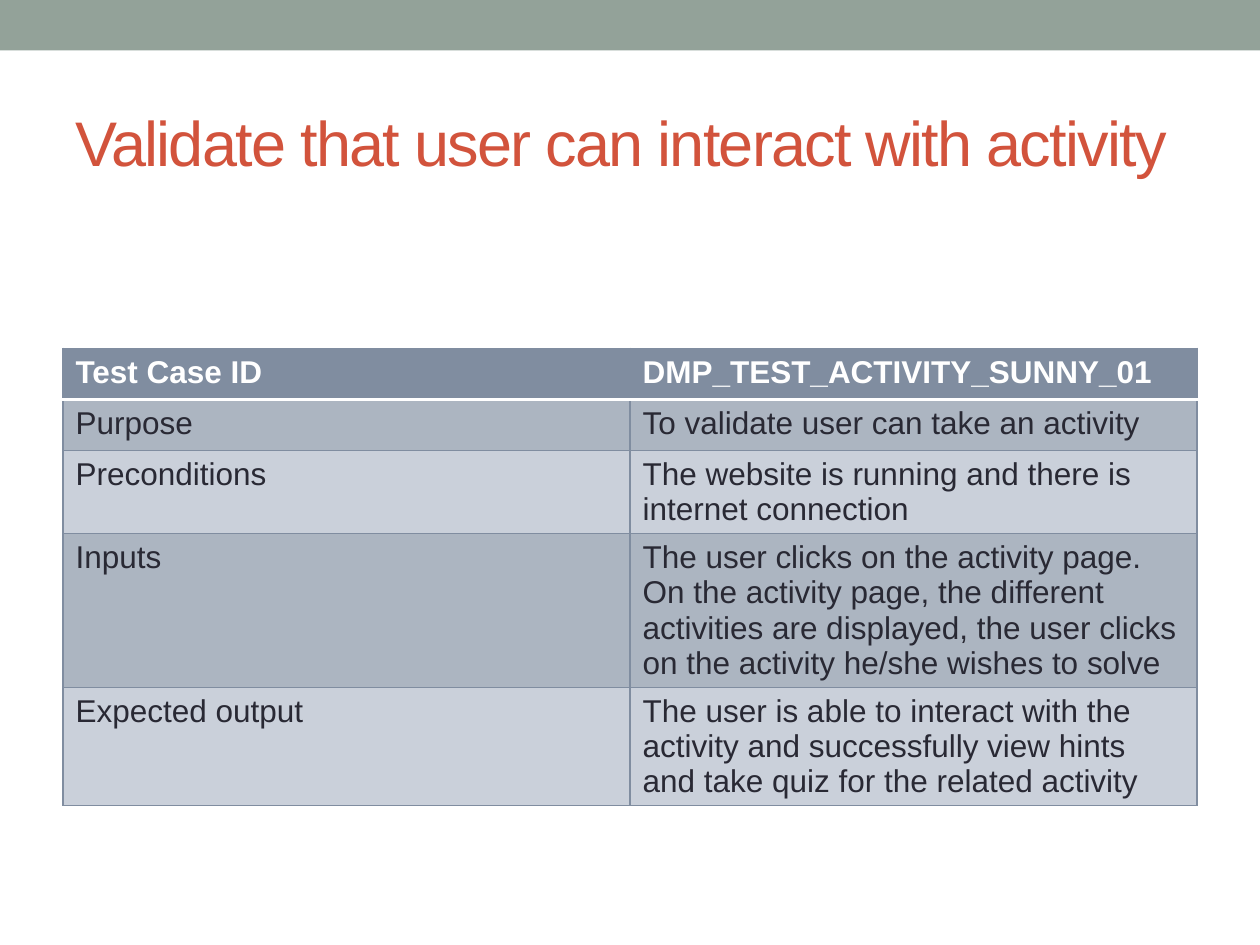
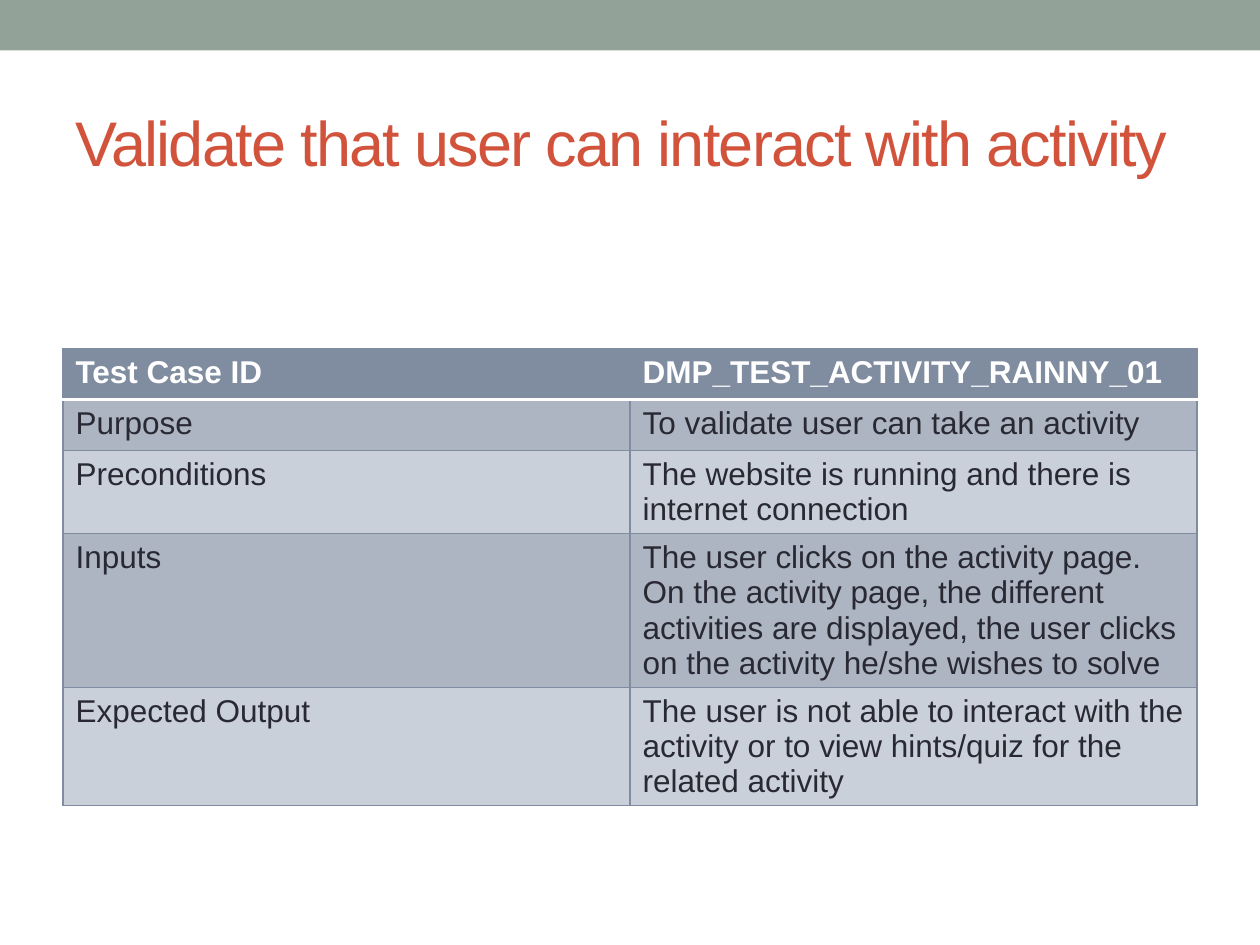
from dataclasses import dataclass

from lxml.etree import SubElement
from pptx import Presentation
from pptx.dml.color import RGBColor
from pptx.enum.shapes import MSO_SHAPE
from pptx.enum.text import MSO_ANCHOR, MSO_AUTO_SIZE, PP_ALIGN
from pptx.oxml.ns import qn
from pptx.slide import Slide
from pptx.table import _Cell
from pptx.text.text import TextFrame
from pptx.util import Pt

# Shared look
HUES = {
    "band": "93A299",
    "title": "D2533C",
    "head": "808DA0",
    "dark": "ACB5C1",
    "light": "CAD0DA",
    "text": "292934",
    "white": "FFFFFF",
}
FONT = "Arial"
WIDE, HIGH = 720, 540
EDGE = 36
SPAN = WIDE - 2 * EDGE
ROW = 29.2
TITLE = "Validate that user can interact with activity"


@dataclass
class Case:
    """One test case: its ID and the two entries that vary."""
    code: str
    label: str
    result: str

    def rows(self) -> list[tuple[str, str]]:
        return [
            ("Test Case ID", self.code),
            ("Purpose", "To validate user can take an activity"),
            ("Preconditions",
             "The website is running and there is internet connection"),
            ("Inputs",
             "The user clicks on the activity page. On the activity page, "
             "the different activities are displayed, the user clicks on "
             "the activity he/she wishes to solve"),
            (self.label, self.result),
        ]


CASES = [
    Case("DMP_TEST_ACTIVITY_SUNNY_01", "Expected output",
         "The user is able to interact with the activity and successfully "
         "view hints and take quiz for the related activity"),
    Case("DMP_TEST_ACTIVITY_RAINNY_01", "Expected Output",
         "The user is not able to interact with the activity or to view "
         "hints/quiz for the related activity"),
]


def shade(name: str) -> RGBColor:
    return RGBColor.from_string(HUES[name])


def write(frame: TextFrame, text: str, *, size: float = 18,
          hue: str = "text", bold: bool = False, track: float = 0) -> None:
    """Put one formatted, left-aligned paragraph into a frame."""
    par = frame.paragraphs[0]
    par.alignment = PP_ALIGN.LEFT
    run = par.add_run()
    run.text = text
    font = run.font
    font.name, font.size, font.bold = FONT, Pt(size), bold
    font.color.rgb = shade(hue)
    if track:
        font._element.set("spc", str(round(track * 100)))


def rule(cell: _Cell, side: str, hue: str, width: float) -> None:
    """Draw one border of a cell; side is L, R, T or B."""
    props = cell._tc.get_or_add_tcPr()
    line = SubElement(props, qn(f"a:ln{side}"), w=str(Pt(width)))
    fill = SubElement(line, qn("a:solidFill"))
    SubElement(fill, qn("a:srgbClr"), val=HUES[hue])


def head(slide: Slide) -> None:
    """Draw the top band and the title."""
    band = slide.shapes.add_shape(MSO_SHAPE.RECTANGLE, 0, 0, Pt(WIDE), Pt(28.8))
    band.shadow.inherit = False
    band.fill.solid()
    band.fill.fore_color.rgb = shade("band")
    band.line.fill.background()

    title = slide.shapes.title
    title.left, title.top = Pt(EDGE), Pt(41.8)
    title.width, title.height = Pt(SPAN), Pt(77.8)
    frame = title.text_frame
    frame.auto_size = MSO_AUTO_SIZE.NONE
    frame.vertical_anchor = MSO_ANCHOR.MIDDLE
    write(frame, TITLE, size=36, hue="title", track=-1)


def grid(slide: Slide, case: Case) -> None:
    """Draw the table of a test case; rows grow with their text."""
    rows = case.rows()
    table = slide.shapes.add_table(len(rows), 2, Pt(EDGE), Pt(199),
                                   Pt(SPAN), Pt(ROW * len(rows))).table
    for y, row in enumerate(rows):
        top = y == 0
        tint = "head" if top else ("dark" if y % 2 else "light")
        for x, text in enumerate(row):
            cell = table.cell(y, x)
            write(cell.text_frame, text, bold=top,
                  hue="white" if top else "text")
            # Borders come before the fill in the cell's properties
            for side in "LRTB":
                pale = (y, side) in ((0, "B"), (1, "T"))
                rule(cell, side, "white" if pale else "head",
                     2.08 if pale else 0.75)
            cell.fill.solid()
            cell.fill.fore_color.rgb = shade(tint)


def main() -> None:
    deck = Presentation()
    deck.slide_width, deck.slide_height = Pt(WIDE), Pt(HIGH)
    for case in CASES:
        slide = deck.slides.add_slide(deck.slide_layouts[5])
        head(slide)
        grid(slide, case)
    deck.save("out.pptx")


if __name__ == "__main__":
    main()
